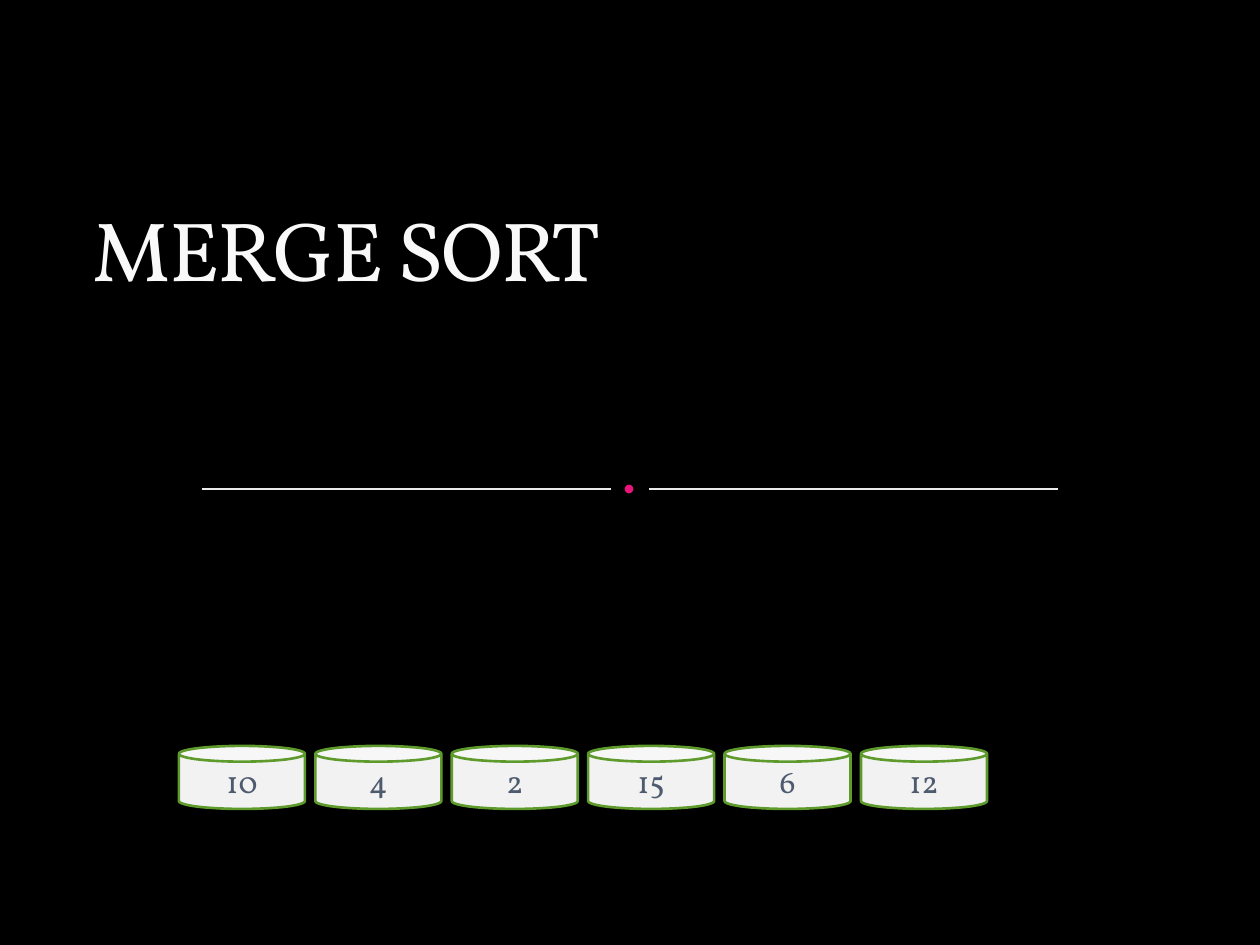
"""Build the merge sort title slide with its row of numbered cans."""
from lxml import etree
from pptx import Presentation
from pptx.dml.color import RGBColor
from pptx.enum.shapes import MSO_CONNECTOR, MSO_SHAPE
from pptx.enum.text import MSO_ANCHOR, PP_ALIGN
from pptx.oxml.ns import qn
from pptx.util import Inches, Pt

LINE, CAN, DOT = MSO_CONNECTOR.STRAIGHT, MSO_SHAPE.CAN, MSO_SHAPE.OVAL
MID, LOW, CENTER = MSO_ANCHOR.MIDDLE, MSO_ANCHOR.BOTTOM, PP_ALIGN.CENTER
BLACK = RGBColor(0x00, 0x00, 0x00)
WHITE = RGBColor(0xF9, 0xF9, 0xF9)
RULE = RGBColor(0xE9, 0xEA, 0xEB)
PINK = RGBColor(0xEA, 0x15, 0x7A)
GRAY = RGBColor(0xF2, 0xF2, 0xF2)
GREEN = RGBColor(0x5E, 0x9B, 0x2C)
SLATE = RGBColor(0x4E, 0x5B, 0x6F)

TITLE = "MERGE SORT"
NUMS = [10, 4, 2, 15, 6, 12]
HEAD = (63, 189, 567, 116)
RULES = [(202, 611), (649, 1058)]
RULE_Y = 489
SPOT = (626, 486, 6, 6)
FIRST, LAST, ROW_Y = 179, 861, 746
CAN_W, CAN_H = 126, 63
HEAD_FONT = {"name": "Vollkorn", "size": Pt(48)}
CAN_FONT = {"name": "Vollkorn", "size": Pt(18)}
SCALE = Inches(1) / 126


def px(*vals):
    return [round(v * SCALE) for v in vals]


def write(shape, text, font, color, anchor):
    frame = shape.text_frame
    frame.word_wrap = True
    frame.vertical_anchor = anchor
    par = frame.paragraphs[0]
    par.alignment = CENTER
    run = par.add_run()
    run.text = text
    for key, val in font.items():
        setattr(run.font, key, val)
    run.font.color.rgb = color
    return run


def draw(slide, kind, box, fill, edge):
    shape = slide.shapes.add_shape(kind, *px(*box))
    shape.shadow.inherit = False
    shape.fill.solid()
    shape.fill.fore_color.rgb = fill
    shape.line.color.rgb = edge
    shape.line.width = Pt(1.5)
    return shape


deck = Presentation()
deck.slide_width, deck.slide_height = px(1260, 945)
slide = deck.slides.add_slide(deck.slide_layouts[5])
slide.background.fill.solid()
slide.background.fill.fore_color.rgb = BLACK

for left, right in RULES:
    rule = slide.shapes.add_connector(LINE, *px(left, RULE_Y, right, RULE_Y))
    rule.line.color.rgb = RULE
    rule.line.width = Pt(0.75)
    etree.SubElement(rule._element.spPr, qn("a:effectLst"))
draw(slide, DOT, SPOT, PINK, PINK)

head = slide.shapes.title
head.left, head.top, head.width, head.height = px(*HEAD)
run = write(head, TITLE, HEAD_FONT, WHITE, LOW)
run.font._element.set("spc", "-100")

step = (LAST - FIRST) / (len(NUMS) - 1)
for i, num in enumerate(NUMS):
    box = (FIRST + i * step, ROW_Y, CAN_W, CAN_H)
    can = draw(slide, CAN, box, GRAY, GREEN)
    write(can, str(num), CAN_FONT, SLATE, MID)

deck.save("out.pptx")
